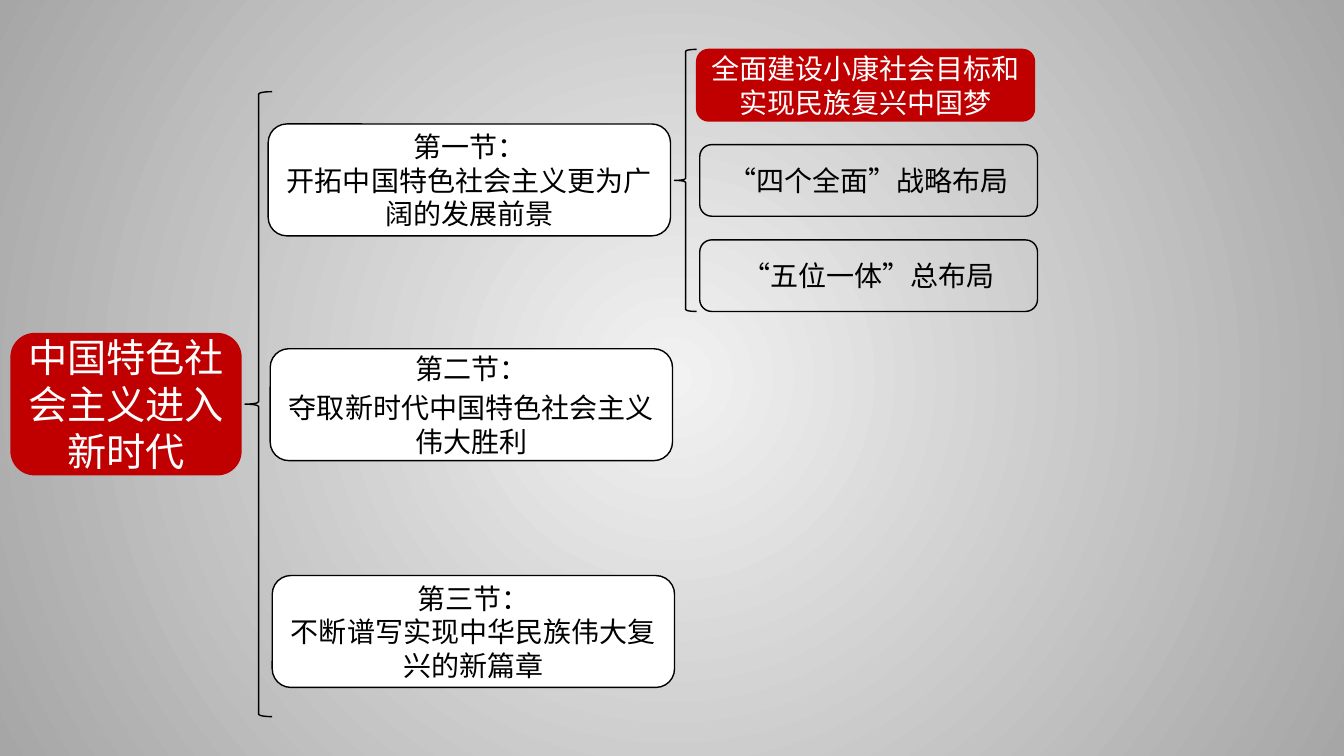
from dataclasses import dataclass

from lxml import etree
from pptx import Presentation
from pptx.dml.color import RGBColor
from pptx.enum import lang, shapes, text
from pptx.oxml.ns import qn
from pptx.util import Inches, Pt


@dataclass(frozen=True)
class Theme:
    font: str = "Noto Sans CJK SC"
    red: str = "C00000"
    white: str = "FFFFFF"
    black: str = "000000"
    light: str = "F2F2F2"
    gray: str = "A6A6A6"
    title: int = 28
    body: int = 20
    line: int = 1
    gap: int = 4


class Board:
    def __init__(self, slide, theme):
        self.slide = slide
        self.theme = theme

    def glow(self):
        """Fill the background with a circular gradient from the centre."""
        fill = self.slide.background.fill
        fill.gradient()
        for stop, color in zip(fill.gradient_stops, (self.theme.light, self.theme.gray)):
            stop.color.rgb = RGBColor.from_string(color)
        grad = next(self.slide.element.iter(qn("a:gradFill")))
        grad.remove(grad.find(qn("a:lin")))
        ring = etree.SubElement(grad, qn("a:path"), {"path": "circle"})
        sides = dict.fromkeys("ltrb", "50000")
        etree.SubElement(ring, qn("a:fillToRect"), sides)

    def shape(self, kind, area, fill=None, line=None):
        item = self.slide.shapes.add_shape(kind, *map(Inches, area))
        item.shadow.inherit = False
        if fill:
            item.fill.solid()
            item.fill.fore_color.rgb = RGBColor.from_string(fill)
        else:
            item.fill.background()
        item.line.color.rgb = RGBColor.from_string(line or self.theme.black)
        item.line.width = Pt(self.theme.line)
        return item

    def brace(self, *area):
        self.shape(shapes.MSO_SHAPE.LEFT_BRACE, area)

    def box(self, area, lines, fill=None, size=None, gap=0):
        """Draw a rounded box; gap is the space in points before later lines."""
        hot = fill == self.theme.red
        item = self.shape(shapes.MSO_SHAPE.ROUNDED_RECTANGLE, area, fill,
                          fill if hot else None)
        frame = item.text_frame
        frame.word_wrap = True
        frame.vertical_anchor = text.MSO_ANCHOR.MIDDLE
        for i, words in enumerate(lines):
            para = frame.add_paragraph() if i else frame.paragraphs[0]
            para.alignment = text.PP_ALIGN.CENTER
            if i and gap:
                para.space_before = Pt(gap)
            self.run(para, words, size or self.theme.body,
                     self.theme.white if hot else self.theme.black)

    def run(self, para, words, size, color):
        run = para.add_run()
        run.text = words
        font = run.font
        font.size = Pt(size)
        font.name = self.theme.font
        font.color.rgb = RGBColor.from_string(color)
        font.language_id = lang.MSO_LANGUAGE_ID.SIMPLIFIED_CHINESE
        latin = next(run._r.iter(qn("a:latin")))
        east = etree.Element(qn("a:ea"), {"typeface": self.theme.font})
        latin.addnext(east)


def main():
    deck = Presentation()
    deck.slide_width, deck.slide_height = Inches(13.33), Inches(7.5)
    theme = Theme()
    board = Board(deck.slides.add_slide(deck.slide_layouts[6]), theme)
    board.glow()

    board.box((0.11, 3.31, 2.28, 1.4), ["中国特色社会主义进入新时代"],
              theme.red, theme.title)
    board.brace(2.43, 0.91, 0.27, 6.2)
    parts = [
        (2.66, 1.23, "第一节：", "开拓中国特色社会主义更为广阔的发展前景", 0),
        (2.68, 3.46, "第二节：", "夺取新时代中国特色社会主义伟大胜利", theme.gap),
        (2.7, 5.71, "第三节：", "不断谱写实现中华民族伟大复兴的新篇章", 0),
    ]
    for left, top, head, body, gap in parts:
        board.box((left, top, 3.99, 1.11), [head, body], theme.white, gap=gap)

    board.brace(6.69, 0.49, 0.22, 2.6)
    topics = [
        (6.91, "全面建设小康社会目标和实现民族复兴中国梦", theme.red),
        (6.94, "“四个全面”战略布局", None),
        (6.94, "“五位一体”总布局", None),
    ]
    for i, (left, words, fill) in enumerate(topics):
        board.box((left, 0.49 + 0.945 * i, 3.35, 0.71), [words], fill)

    deck.save("out.pptx")


if __name__ == "__main__":
    main()
